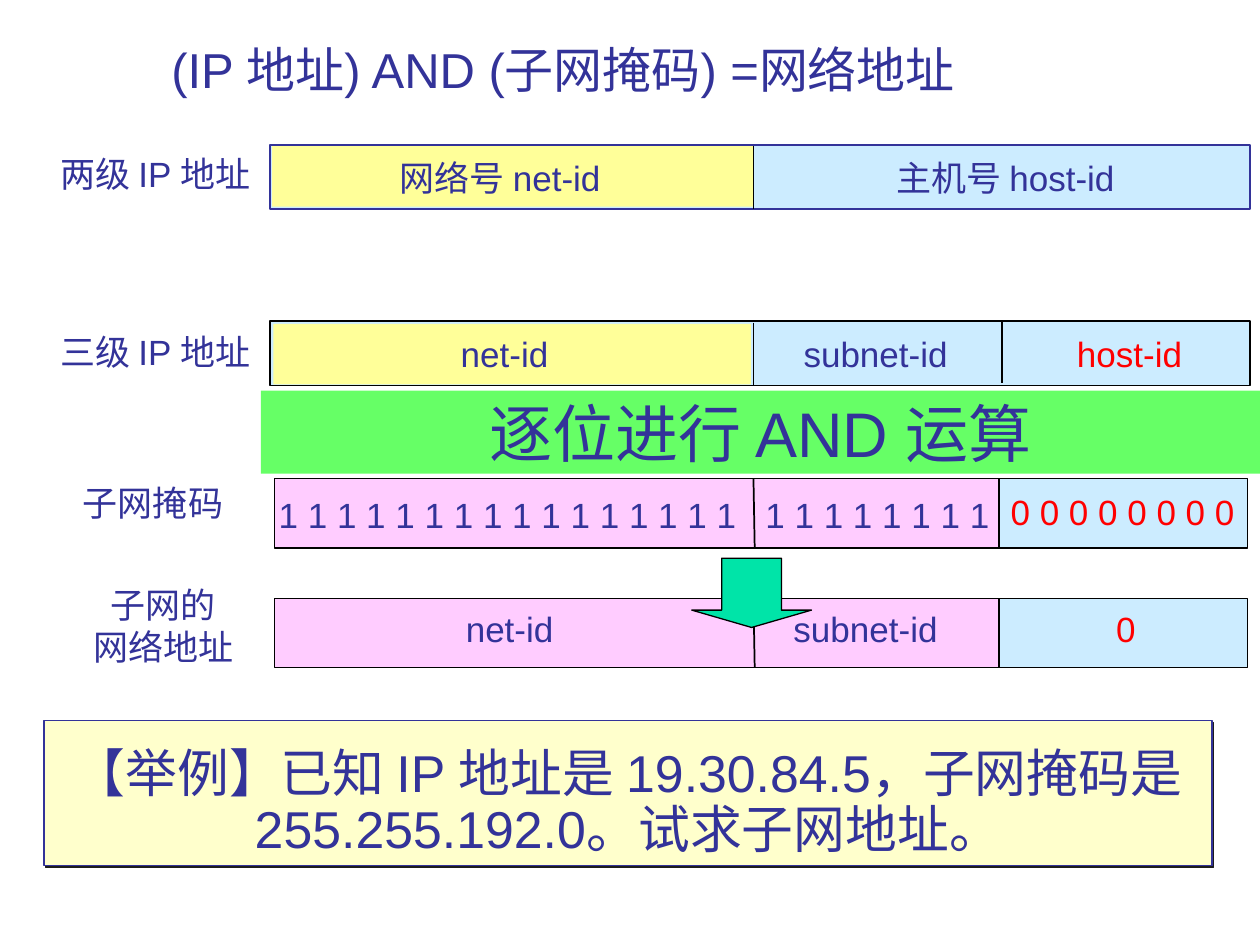
from dataclasses import dataclass
from typing import Any

from lxml import etree
from pptx import Presentation
from pptx.dml.color import RGBColor
from pptx.enum.shapes import MSO_CONNECTOR, MSO_SHAPE
from pptx.enum.text import MSO_ANCHOR, MSO_AUTO_SIZE, PP_ALIGN
from pptx.oxml.ns import qn
from pptx.util import Inches, Pt

RECT, ARROW = MSO_SHAPE.RECTANGLE, MSO_SHAPE.DOWN_ARROW
LINE = MSO_CONNECTOR.STRAIGHT
LEFT, MID = PP_ALIGN.LEFT, PP_ALIGN.CENTER
TOP, CORE, BASE = MSO_ANCHOR.TOP, MSO_ANCHOR.MIDDLE, MSO_ANCHOR.BOTTOM
FIXED = MSO_AUTO_SIZE.NONE

COLS, ROWS = 100, 75
INK, RED, BLACK = "333399", "FF0000", "000000"
SKY, LEMON, PINK = "CCECFF", "FFFF99", "FFCCFF"
GREEN, TEAL, CREAM = "66FF66", "00E4A8", "FFFFCC"

deck = Presentation()
deck.slide_width, deck.slide_height = Inches(10), Inches(7.5)
slide = deck.slides.add_slide(deck.slide_layouts[5])


@dataclass
class Area:
    col: float
    row: float
    wide: float
    high: float


@dataclass
class Box:
    area: Area
    fill: str
    edge: str = ""
    width: float = 1
    kind: Any = RECT


@dataclass
class Rule:
    col: float
    row: float
    end: float
    high: float


@dataclass
class Label:
    text: str
    area: Area
    color: str = INK


def across(col: float) -> int:
    return round(deck.slide_width * col / COLS)


def down(row: float) -> int:
    return round(deck.slide_height * row / ROWS)


def place(area: Area) -> tuple[int, int, int, int]:
    return across(area.col), down(area.row), across(area.wide), down(area.high)


def assign(item: Any, values: dict[str, Any]) -> None:
    for name, value in values.items():
        setattr(item, name, value)


def tint(fmt: Any, color: str) -> None:
    fmt.solid()
    fmt.fore_color.rgb = RGBColor.from_string(color)


def write(shape: Any, text: str, size: float, color: str = INK,
          align: Any = MID, anchor: Any = TOP, wrap: bool = False,
          space: float = 1) -> None:
    frame = shape.text_frame
    frame.text = text
    assign(frame, {"auto_size": FIXED, "word_wrap": wrap, "vertical_anchor": anchor})
    for para in frame.paragraphs:
        assign(para, {"alignment": align, "line_spacing": space})
        for run in para.runs:
            assign(run.font, {"name": "Arial", "size": Pt(size)})
            tint(run.font.fill, color)


def draw_box(box: Box) -> Any:
    shape = slide.shapes.add_shape(box.kind, *place(box.area))
    shape.shadow.inherit = False
    tint(shape.fill, box.fill)
    if box.edge:
        tint(shape.line.fill, box.edge)
        shape.line.width = Pt(box.width)
    else:
        shape.line.fill.background()
    return shape


def draw_rule(rule: Rule) -> None:
    line = slide.shapes.add_connector(
        LINE, across(rule.col), down(rule.row),
        across(rule.end), down(rule.row + rule.high))
    tint(line.line.fill, BLACK)
    line.line.width = Pt(1)
    etree.SubElement(line._element.spPr, qn("a:effectLst"))


def draw_label(label: Label) -> None:
    shape = slide.shapes.add_textbox(*place(label.area))
    write(shape, label.text, 20, label.color)


def cast(shape: Any) -> None:
    effects = shape._element.spPr.find(qn("a:effectLst"))
    shade = etree.SubElement(effects, qn("a:outerShdw"), dist=str(Pt(1.4)),
                             dir="2700000", algn="ctr", rotWithShape="0")
    etree.SubElement(shade, qn("a:srgbClr"), val="1C1C1C")


SPLIT = 59.8
TWO, THREE, MASK, NET = 11.5, 25.5, 38, 47.5

boxes = [
    Box(Area(21.4, THREE, 77.8, 5.1), SKY, BLACK),
    Box(Area(21.4, TWO, 77.8, 5.1), SKY, INK),
    Box(Area(21.6, TWO + 0.1, 38.2, 4.8), LEMON),
    Box(Area(21.7, THREE + 0.2, 37.9, 4.8), LEMON),
]
for top in (MASK, NET):
    boxes += [Box(Area(79.3, top, 19.7, 5.5), SKY, BLACK, 0.75),
              Box(Area(21.8, top, 57.5, 5.5), PINK, BLACK, 0.75)]

rules = [
    Rule(SPLIT, TWO + 0.1, SPLIT, 5),
    Rule(SPLIT, THREE + 0.1, SPLIT, 5),
    Rule(79.5, THREE, 79.5, 4.9),
    Rule(SPLIT, MASK, SPLIT + 0.1, 5.5),
    Rule(SPLIT, NET, SPLIT + 0.1, 5.5),
]

labels = [
    Label("两级 IP 地址", Area(3.1, 11.6, 18.5, 4.3)),
    Label("网络号 net-id", Area(30.4, 11.9, 18.6, 4.3)),
    Label("主机号 host-id", Area(69.8, 11.9, 20, 4.3)),
    Label("三级 IP 地址", Area(3.1, 25.7, 18.5, 4.3)),
    Label("net-id", Area(35.6, 25.9, 8.9, 4.3)),
    Label("subnet-id", Area(62.8, 25.9, 13.4, 4.3)),
    Label("host-id", Area(84.5, 25.9, 10.3, 4.3), RED),
    Label("子网掩码", Area(5.6, 37.7, 13.1, 4.3)),
    Label(" ".join("1" * 16), Area(21.2, 38.7, 38.2, 4.3)),
    Label(" ".join("1" * 8), Area(59.8, 38.7, 19.7, 4.3)),
    Label(" ".join("0" * 8), Area(79.2, 38.4, 19.8, 4.3), RED),
    Label("子网的\n网络地址", Area(6.4, 45.8, 13.1, 7.6)),
    Label("net-id", Area(36, 47.7, 8.9, 4.3)),
    Label("subnet-id", Area(62, 47.7, 13.4, 4.3)),
    Label("0", Area(87.6, 47.7, 3.5, 4.3), RED),
]

title = slide.shapes.title
sides = ("left", "top", "width", "height")
assign(title, dict(zip(sides, place(Area(12.6, 2.3, 85.2, 6)))))
write(title, "(IP 地址) AND (子网掩码) =网络地址", 28, align=LEFT, anchor=BASE, wrap=True)

for box in boxes:
    draw_box(box)
for rule in rules:
    draw_rule(rule)
for label in labels:
    draw_label(label)

band = draw_box(Box(Area(20.7, 31, 79.3, 6.6), GREEN))
write(band, "逐位进行 AND 运算", 36, anchor=CORE)

arrow = draw_box(Box(Area(54.9, 44.3, 9.5, 5.5), TEAL, BLACK, 0.75, ARROW))
arrow.adjustments[0], arrow.adjustments[1] = 0.5, 0.25

note = draw_box(Box(Area(3.5, 57.2, 92.7, 11.5), CREAM, INK, 0.75))
cast(note)
write(note, "【举例】已知 IP 地址是 19.30.84.5，子网掩码是 255.255.192.0。试求子网地址。",
      29.6, anchor=BASE, wrap=True, space=0.9)

deck.save("out.pptx")
